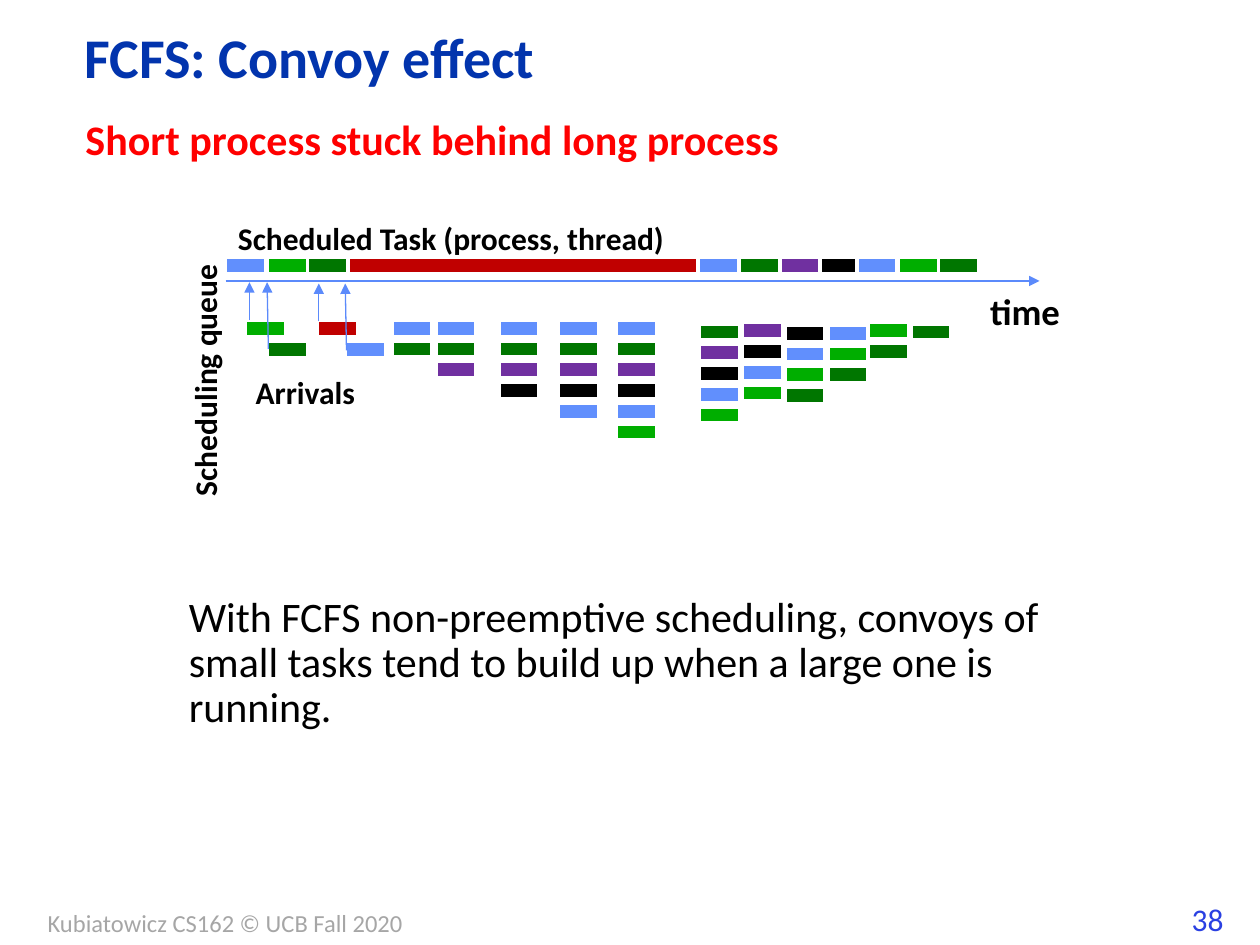
import pptx
import pptx.dml.color
import pptx.enum.shapes
import pptx.enum.text
import pptx.oxml
import pptx.oxml.ns
import pptx.util
from pptx.dml.color import RGBColor
from pptx.util import Inches

BLACK = RGBColor(0x00, 0x00, 0x00)
WHITE = RGBColor(0xFF, 0xFF, 0xFF)
RED = RGBColor(0xC0, 0x00, 0x00)
BLUE = RGBColor(0x61, 0x8F, 0xFD)
LIME = RGBColor(0x00, 0xAE, 0x00)
GREEN = RGBColor(0x00, 0x76, 0x00)
PURPLE = RGBColor(0x70, 0x30, 0xA0)
LINE_BLUE = RGBColor(0x5B, 0x8A, 0xFB)
TITLE_BLUE = RGBColor(0x02, 0x34, 0xAD)
SUBTITLE_RED = RGBColor(0xFF, 0x00, 0x00)
NUMBER_BLUE = RGBColor(0x2A, 0x40, 0xE2)
FOOTER_GRAY = RGBColor(0xA6, 0xA6, 0xA6)

TASK_W, TASK_H = 0.32, 0.13
ROW_PITCH = 0.33 / 2
TIMELINE_TOP = 2.04

# Short tasks run before and after the long one: left edge, colour
SHORT_TASKS = [
    (1.79, BLUE), (2.12, LIME), (2.44, GREEN),
    (5.54, BLUE), (5.87, GREEN), (6.19, PURPLE), (6.51, BLACK),
    (6.80, BLUE), (7.13, LIME), (7.45, GREEN),
]

# Tasks in order of arrival; each queue holds a slice of them
CONVOY = [BLUE, GREEN, PURPLE, BLACK, BLUE, LIME, GREEN]

# Queue snapshots: left, top, first and end position in the convoy
QUEUES = [
    (3.11, 2.54, 0, 2), (3.46, 2.54, 0, 3), (3.96, 2.54, 0, 4),
    (4.43, 2.54, 0, 5), (4.89, 2.54, 0, 6),
    (5.55, 2.57, 1, 6), (5.89, 2.56, 2, 6), (6.23, 2.58, 3, 7),
    (6.57, 2.58, 4, 7), (6.89, 2.56, 5, 7), (7.23, 2.57, 6, 7),
]

# Arrivals: task left, task top, colour, arrow from, arrow to
ARRIVALS = [
    (1.95, 2.54, LIME, (1.98, 2.54), (1.98, 2.24)),
    (2.12, 2.71, GREEN, (2.13, 2.77), (2.12, 2.24)),
    (2.52, 2.54, RED, (2.53, 2.55), (2.53, 2.25)),
    (2.74, 2.71, BLUE, (2.75, 2.78), (2.74, 2.25)),
]


def add_text(s, text, box, size, color=BLACK, bold=False, wrap=False, spacing=None):
    sp = s.shapes.add_textbox(*map(Inches, box))
    tf = sp.text_frame
    tf.text = text
    tf.word_wrap = wrap
    if not wrap:
        tf.auto_size = pptx.enum.text.MSO_AUTO_SIZE.SHAPE_TO_FIT_TEXT
    p = tf.paragraphs[0]
    p.line_spacing = spacing
    font = p.runs[0].font
    font.name = "Calibri"
    font.size = pptx.util.Pt(size)
    font.bold = bold
    font.color.rgb = color
    return sp


def add_task(s, left, top, color, width=TASK_W):
    sp = s.shapes.add_shape(
        pptx.enum.shapes.MSO_SHAPE.RECTANGLE,
        Inches(left), Inches(top), Inches(width), Inches(TASK_H))
    sp.shadow.inherit = False
    sp.fill.solid()
    sp.fill.fore_color.rgb = color
    sp.line.color.rgb = WHITE
    sp.line.width = pptx.util.Pt(2)


def add_arrow(s, start, end):
    arrow = s.shapes.add_connector(
        pptx.enum.shapes.MSO_CONNECTOR.STRAIGHT, *map(Inches, start + end))
    arrow.line.color.rgb = LINE_BLUE
    arrow.line.width = pptx.util.Pt(0.75)
    ns = pptx.oxml.ns.nsdecls("a")
    arrow.line._get_or_add_ln().append(
        pptx.oxml.parse_xml(f'<a:tailEnd {ns} type="triangle"/>'))
    arrow._element.spPr.append(pptx.oxml.parse_xml(f"<a:effectLst {ns}/>"))


def add_timeline(s):
    add_arrow(s, (1.79, 2.23), (8.25, 2.23))
    for left, color in SHORT_TASKS:
        add_task(s, left, TIMELINE_TOP, color)
    add_task(s, 2.76, TIMELINE_TOP, RED, width=2.78)
    add_text(s, "Scheduled Task (process, thread)", (1.79, 1.69, 3.61, 0.4), 18, bold=True)
    add_text(s, "time", (7.76, 2.24, 0.76, 0.45), 21, bold=True)


def add_queues(s):
    label = add_text(s, "Scheduling queue", (0.6, 2.81, 2.05, 0.4), 18, bold=True)
    label.rotation = 270
    for left, top, first, end in QUEUES:
        for row, color in enumerate(CONVOY[first:end]):
            add_task(s, left, top + row * ROW_PITCH, color)


def add_arrivals(s):
    for left, top, color, start, end in ARRIVALS:
        add_task(s, left, top, color)
        add_arrow(s, start, end)
    add_text(s, "Arrivals", (1.93, 2.91, 1, 0.4), 18, bold=True)


def main():
    prs = pptx.Presentation()
    prs.slide_width, prs.slide_height = Inches(10), Inches(7.5)
    s = prs.slides.add_slide(prs.slide_layouts[6])

    title = add_text(s, "FCFS: Convoy effect", (0.57, 0.19, 7.83, 0.58), 32,
                     TITLE_BLUE, bold=True, wrap=True, spacing=0.9)
    title.text_frame.vertical_anchor = pptx.enum.text.MSO_ANCHOR.MIDDLE
    add_text(s, "Short process stuck behind long process", (0.58, 0.93, 8.09, 0.43), 24,
             SUBTITLE_RED, bold=True, wrap=True, spacing=0.8)

    add_timeline(s)
    add_queues(s)
    add_arrivals(s)

    add_text(s, "With FCFS non-preemptive scheduling, convoys of small tasks "
             "tend to build up when a large one is running.",
             (1.4, 4.68, 7.61, 1.47), 24, wrap=True, spacing=0.9)
    add_text(s, "Kubiatowicz CS162 © UCB Fall 2020", (0.28, 7.16, 3.04, 0.34), 14, FOOTER_GRAY)
    add_text(s, "38", (9.36, 7.09, 0.51, 0.4), 18, NUMBER_BLUE)
    prs.save("out.pptx")


if __name__ == "__main__":
    main()
